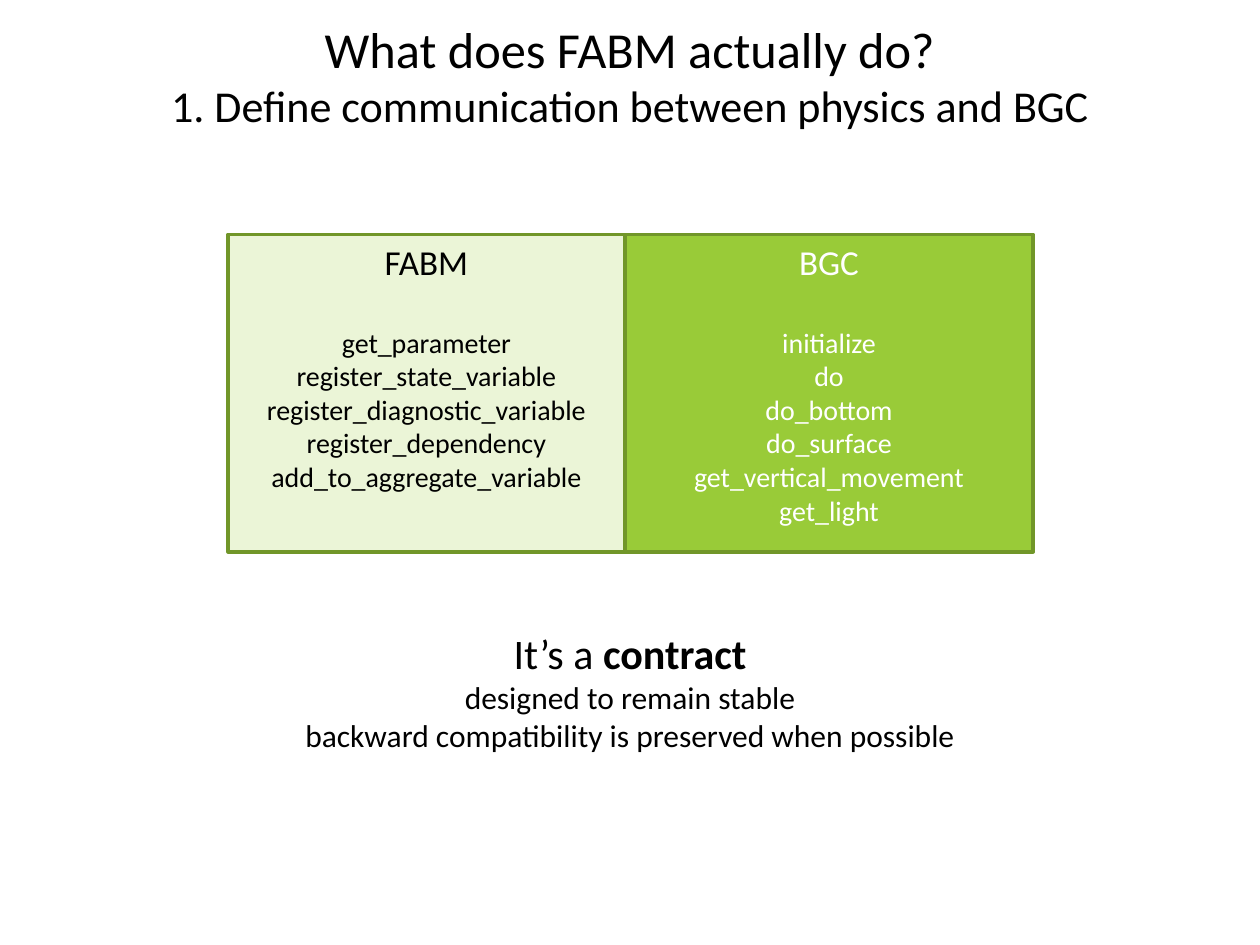
import pptx
import pptx.dml.color
import pptx.enum.shapes
import pptx.enum.text
import pptx.util

Inches = pptx.util.Inches
Pt = pptx.util.Pt
RGBColor = pptx.dml.color.RGBColor
MSO_ANCHOR = pptx.enum.text.MSO_ANCHOR

BLACK = RGBColor(0x00, 0x00, 0x00)
WHITE = RGBColor(0xFF, 0xFF, 0xFF)
GREEN = RGBColor(0x99, 0xCB, 0x38)
PALE_GREEN = RGBColor(0xEB, 0xF5, 0xD7)
DARK_GREEN = RGBColor(0x71, 0x96, 0x29)

FONT = "Calibri"
PANEL_TOP, PANEL_HEIGHT = 1.86, 2.52
LIST_GAP = 24.4

FABM_CALLS = ["get_parameter", "register_state_variable",
              "register_diagnostic_variable", "register_dependency",
              "add_to_aggregate_variable"]
BGC_CALLS = ["initialize", "do", "do_bottom", "do_surface",
             "get_vertical_movement", "get_light"]


def set_format(obj, values):
    """Set each named attribute of an object."""
    for name, value in values.items():
        setattr(obj, name, value)


def add_paragraph(tf, runs, color, first=False, gap=0):
    """Write a centred paragraph of (text, size, bold) runs."""
    p = tf.paragraphs[0] if first else tf.add_paragraph()
    p.alignment = pptx.enum.text.PP_ALIGN.CENTER
    if gap:
        p.space_before = Pt(gap)
    for text, size, bold in runs:
        if text == "\n":
            p.add_line_break()
            continue
        r = p.add_run()
        r.text = text
        set_format(r.font, {"name": FONT, "size": Pt(size), "bold": bold})
        r.font.color.rgb = color


def add_text(s, box, paragraphs, **frame):
    """Add a text box holding centred black paragraphs."""
    sp = s.shapes.add_textbox(*map(Inches, box))
    tf = sp.text_frame
    set_format(tf, frame)
    for i, runs in enumerate(paragraphs):
        add_paragraph(tf, runs, BLACK, first=i == 0)


def add_panel(s, left, width, heading, calls, fill, color):
    """Add a filled panel with a heading above a list of calls."""
    sp = s.shapes.add_shape(
        pptx.enum.shapes.MSO_SHAPE.RECTANGLE, Inches(left),
        Inches(PANEL_TOP), Inches(width), Inches(PANEL_HEIGHT))
    sp.shadow.inherit = False
    sp.fill.solid()
    sp.fill.fore_color.rgb = fill
    sp.line.color.rgb = DARK_GREEN
    sp.line.width = Pt(2)
    tf = sp.text_frame
    set_format(tf, {"word_wrap": True, "vertical_anchor": MSO_ANCHOR.TOP})
    add_paragraph(tf, [(heading, 20, False)], color, first=True)
    for i, call in enumerate(calls):
        add_paragraph(tf, [(call, 16, False)], color,
                      gap=LIST_GAP if i == 0 else 0)


def main():
    """Build and save the slide."""
    prs = pptx.Presentation()
    set_format(prs, {"slide_width": Inches(10), "slide_height": Inches(7.5)})
    s = prs.slides.add_slide(prs.slide_layouts[6])
    add_text(s, (0.5, 0.27, 9, 0.64),
             [[("What does FABM actually do?", 28.8, False),
               ("\n", None, None),
               ("1. Define communication between physics and BGC", 25.2, False)]],
             word_wrap=True, vertical_anchor=MSO_ANCHOR.MIDDLE)
    add_panel(s, 4.96, 3.24, "BGC", BGC_CALLS, GREEN, WHITE)
    add_panel(s, 1.81, 3.15, "FABM", FABM_CALLS, PALE_GREEN, BLACK)
    add_text(s, (2.29, 4.93, 5.42, 1.11),
             [[("It’s a ", 24, False), ("contract", 24, True)],
              [("designed to remain stable", 18, False)],
              [("backward compatibility is preserved when possible", 18, False)]],
             word_wrap=False,
             auto_size=pptx.enum.text.MSO_AUTO_SIZE.SHAPE_TO_FIT_TEXT)
    prs.save("out.pptx")


if __name__ == "__main__":
    main()
